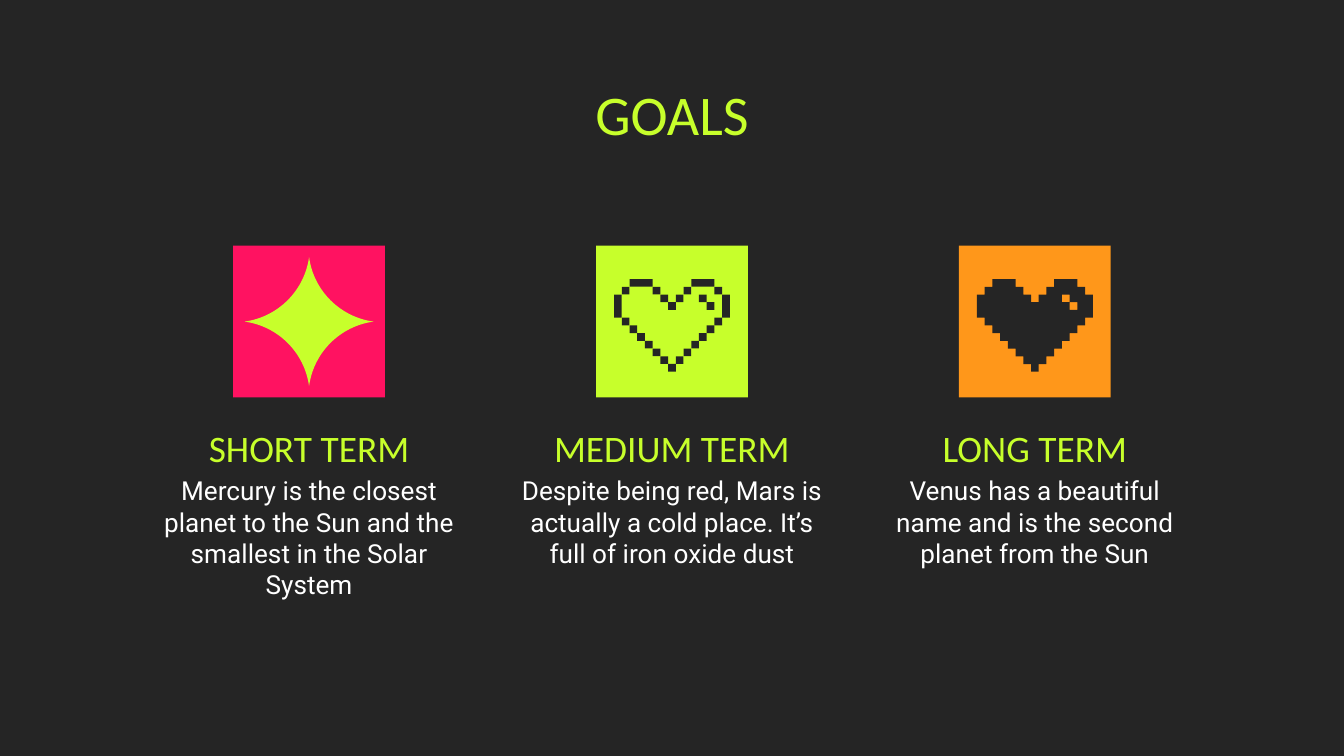
"""Build the GOALS slide: three terms, each under a pixel-style icon tile."""
import dataclasses

import lxml.etree
import pptx
import pptx.dml.color
import pptx.enum.shapes
import pptx.enum.text
import pptx.oxml.ns
import pptx.util


@dataclasses.dataclass(frozen=True)
class Theme:
    dark: str = "252525"
    lime: str = "C7FF2B"
    pink: str = "FF1261"
    orange: str = "FF971A"
    white: str = "FFFFFF"
    heading_font: str = "Calibri"
    body_font: str = "Roboto"
    title_size: int = 30
    term_size: int = 20
    body_size: int = 14


THEME = Theme()
HEADLINE = "GOALS"
GOALS = [
    {"term": "SHORT TERM", "icon": "star", "tile": THEME.pink,
     "detail": "Mercury is the closest planet to the Sun and the smallest in the Solar System"},
    {"term": "MEDIUM TERM", "icon": "outline", "tile": THEME.lime,
     "detail": "Despite being red, Mars is actually a cold place. It’s full of iron oxide dust"},
    {"term": "LONG TERM", "icon": "solid", "tile": THEME.orange,
     "detail": "Venus has a beautiful name and is the second planet from the Sun"},
]

WIDTH = pptx.util.Inches(10)
HEIGHT = WIDTH * 9 // 16
COLUMN_CENTRES = (0.23, 0.5, 0.77)
TITLE_BAND = {"top": 8.7, "width": 84.3, "height": 11.2}
TERM_BAND = {"top": 54.04, "width": 20.2, "height": 10.3}
DETAIL_BAND = {"top": 61, "width": 25.6, "height": 15.1}
TILE = WIDTH * 0.113
TILE_TOP = HEIGHT * 0.325
STAR_RADIUS = TILE * 0.425

HEART_COLUMNS, HEART_ROWS = 15, 12
PIXEL = TILE * 0.61 / HEART_ROWS
HALF_HEART = [(2, 0, 3, 1), (1, 1, 1, 1), (5, 1, 1, 1), (6, 2, 1, 1), (0, 2, 1, 3)]
HALF_HEART += [(1 + step, 5 + step, 1, 1) for step in range(6)]
CENTRE_AND_GLINT = [(7, 3, 1, 1), (7, 11, 1, 1), (11, 2, 1, 1), (12, 3, 1, 1)]
LEFT_EDGE = [(7, 3), (7, 2), (6, 2), (6, 1), (5, 1), (5, 0), (2, 0), (2, 1), (1, 1), (1, 2), (0, 2)]
LEFT_EDGE += [(col, col + 5 + drop) for col in range(8) for drop in (-1, 0) if col + drop >= 0]
LEFT_EDGE += [(7, 12)]
GLINT_HOLE = [(12, 2), (12, 3), (13, 3), (13, 4), (12, 4), (12, 3), (11, 3), (11, 2)]


def rgb(colour):
    return pptx.dml.color.RGBColor.from_string(colour)


def band_box(centre, band):
    width = WIDTH * band["width"] / 100
    return [round(length) for length in (
        WIDTH * centre - width / 2, HEIGHT * band["top"] / 100, width, HEIGHT * band["height"] / 100)]


def write(holder, text, *, font, size, colour, anchor="TOP"):
    frame = holder.text_frame
    frame.word_wrap = True
    frame.auto_size = pptx.enum.text.MSO_AUTO_SIZE.NONE
    frame.vertical_anchor = pptx.enum.text.MSO_ANCHOR[anchor]
    for side in ("left", "top", "right", "bottom"):
        setattr(frame, f"margin_{side}", pptx.util.Inches(0.1))
    frame.text = text
    paragraph = frame.paragraphs[0]
    paragraph.alignment = pptx.enum.text.PP_ALIGN.CENTER
    paragraph.font.name = font
    paragraph.font.size = pptx.util.Pt(size)
    paragraph.font.color.rgb = rgb(colour)


def paint(shape, colour):
    shape.shadow.inherit = False
    shape.fill.solid()
    shape.fill.fore_color.rgb = rgb(colour)
    shape.line.fill.background()
    return shape


def block(group, left, top, width, height, colour):
    box = [round(length) for length in (left, top, width, height)]
    paint(group.shapes.add_shape(pptx.enum.shapes.MSO_SHAPE.RECTANGLE, *box), colour)


def outline(group, contours, origin, unit, colour):
    placed = [[tuple(round(start + step * unit) for start, step in zip(origin, point))
               for point in contour] for contour in contours]
    builder = group.shapes.build_freeform(*placed[0][0])
    builder.add_line_segments(placed[0][1:], close=True)
    for contour in placed[1:]:
        builder.move_to(*contour[0])
        builder.add_line_segments(contour[1:], close=True)
    return paint(builder.convert_to_shape(), colour)


def draw_star(group, centre):
    arc, points = [(-0.07, -0.48), (-0.48, -0.07), (-1, 0)], [(0, -1)]
    for _ in range(4):
        points += arc
        arc = [(y, -x) for x, y in arc]
    middle = (centre, TILE_TOP + TILE / 2)
    star = outline(group, [points], middle, STAR_RADIUS, THEME.lime)
    lines = list(star._element.iter(pptx.oxml.ns.qn("a:lnTo")))
    for first in range(0, 12, 3):
        curve = lxml.etree.Element(pptx.oxml.ns.qn("a:cubicBezTo"))
        lines[first].addprevious(curve)
        for line in lines[first:first + 3]:
            curve.append(line[0])
            line.getparent().remove(line)


def draw_heart(group, centre, solid):
    origin = (centre - HEART_COLUMNS * PIXEL / 2, TILE_TOP + TILE * 0.22)
    if solid:
        right_edge = [(HEART_COLUMNS - col, row) for col, row in reversed(LEFT_EDGE)]
        outline(group, [LEFT_EDGE + right_edge, GLINT_HOLE], origin, PIXEL, THEME.dark)
        return
    mirrored = [(HEART_COLUMNS - col - wide, row, wide, tall) for col, row, wide, tall in HALF_HEART]
    for col, row, wide, tall in HALF_HEART + mirrored + CENTRE_AND_GLINT:
        block(group, origin[0] + col * PIXEL, origin[1] + row * PIXEL,
              wide * PIXEL, tall * PIXEL, THEME.dark)


def main():
    deck = pptx.Presentation()
    deck.slide_width, deck.slide_height = WIDTH, HEIGHT
    slide = deck.slides.add_slide(deck.slide_layouts[5])
    slide.background.fill.solid()
    slide.background.fill.fore_color.rgb = rgb(THEME.dark)

    headline = slide.shapes.title
    headline.left, headline.top, headline.width, headline.height = band_box(0.5, TITLE_BAND)
    heading = {"font": THEME.heading_font, "colour": THEME.lime}
    write(headline, HEADLINE, size=THEME.title_size, **heading)

    for share, goal in zip(COLUMN_CENTRES, GOALS):
        term = slide.shapes.add_textbox(*band_box(share, TERM_BAND))
        write(term, goal["term"], size=THEME.term_size, anchor="MIDDLE", **heading)
        detail = slide.shapes.add_textbox(*band_box(share, DETAIL_BAND))
        write(detail, goal["detail"], font=THEME.body_font, size=THEME.body_size, colour=THEME.white)

        centre = WIDTH * share
        icon = slide.shapes.add_group_shape()
        block(icon, centre - TILE / 2, TILE_TOP, TILE, TILE, goal["tile"])
        if goal["icon"] == "star":
            draw_star(icon, centre)
        else:
            draw_heart(icon, centre, solid=goal["icon"] == "solid")

    deck.save("out.pptx")


if __name__ == "__main__":
    main()
